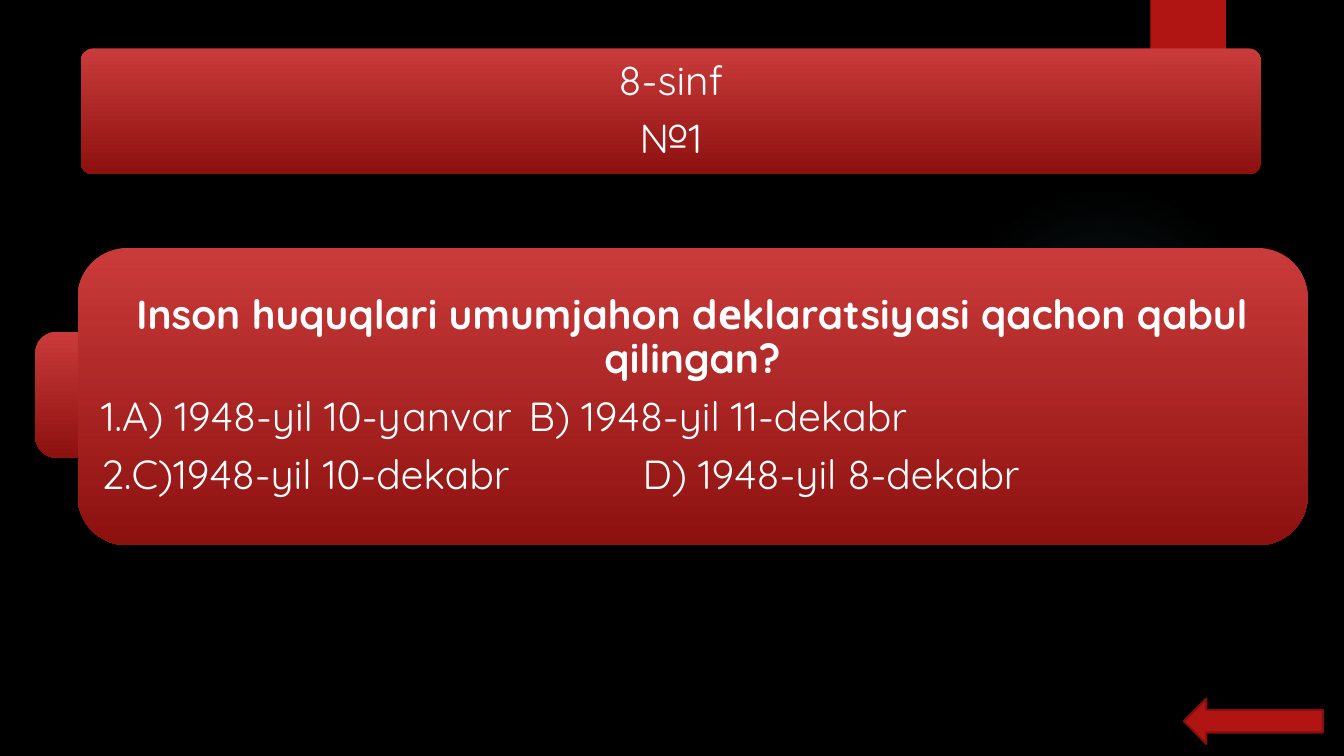
"""Build the quiz slide with its class banner, question panel and back arrow."""
from dataclasses import dataclass

from pptx import Presentation
from pptx import util as u
from pptx.dml.color import RGBColor
from pptx.enum import shapes, text
from pptx.oxml import parse_xml
from pptx.oxml.ns import nsdecls

EMU_PER_PX = 9144


@dataclass(frozen=True)
class Theme:
    background: str = "000000"
    glow: str = "50B9C1"
    accent: str = "B01513"
    accent_line: str = "82100E"
    gradient: tuple[str, str] = ("C93B3A", "8D110F")
    ink: str = "FFFFFF"
    font: str = "Quicksand"
    size: int = 29
    paragraph_gap: int = 10


@dataclass(frozen=True)
class Box:
    left: int
    top: int
    width: int
    height: int

    def emu(self) -> tuple[int, ...]:
        return tuple(px(n) for n in (self.left, self.top, self.width, self.height))


@dataclass(frozen=True)
class Line:
    words: str
    bold: bool = False
    tab: int = 0


@dataclass(frozen=True)
class Card:
    box: Box
    corner: float


THEME = Theme()
KIND = shapes.MSO_SHAPE
BANNER = Card(Box(80, 48, 1171, 125), 0.1)
MARKER = Card(Box(35, 329, 125, 125), 0.167)
PANEL = Card(Box(77, 246, 1220, 295), 0.167)
HEADING = [Line("8-sinf"), Line("№1")]
QUESTION = [
    Line("Inson huquqlari umumjahon dеklaratsiyasi qachon qabul qilingan?", bold=True),
    Line("A) 1948-yil 10-yanvar\tB) 1948-yil 11-dekabr", tab=424),
    Line("C)1948-yil 10-dekabr\tD) 1948-yil 8-dekabr", tab=537),
]


def px(length: int) -> int:
    """Turn px into EMU."""
    return u.Emu(length * EMU_PER_PX)


def rgb(value: str) -> RGBColor:
    """Turn a hex string into a colour."""
    return RGBColor.from_string(value)


def add_plain(page, kind: shapes.MSO_SHAPE, box: Box, color: str):
    """Add a solid shape without outline or shadow."""
    shape = page.shapes.add_shape(kind, *box.emu())
    shape.shadow.inherit = False
    shape.fill.solid()
    shape.fill.fore_color.rgb = rgb(color)
    shape.line.fill.background()
    return shape


def add_card(page, card: Card):
    """Add a rounded card shaded from top to bottom."""
    shape = add_plain(page, KIND.ROUNDED_RECTANGLE, card.box, THEME.accent)
    shape.adjustments[0] = card.corner
    shape.fill.gradient()
    shape.fill.gradient_angle = 270
    for stop, color in zip(shape.fill.gradient_stops, THEME.gradient):
        stop.color.rgb = rgb(color)
    return shape


def add_glow(page, box: Box) -> None:
    """Add a faint circle that fades towards its rim."""
    glow = add_plain(page, KIND.OVAL, box, THEME.glow)
    stops = "".join(
        f'<a:gs pos="{place}000"><a:srgbClr val="{THEME.glow}">'
        f'<a:alpha val="{alpha}000"/></a:srgbClr></a:gs>'
        for place, alpha in ((0, 7), (36, 6), (69, 0))
    )
    fade = parse_xml(
        f'<a:gradFill {nsdecls("a")}><a:gsLst>{stops}</a:gsLst><a:path path="circle">'
        '<a:fillToRect l="50000" t="50000" r="50000" b="50000"/></a:path></a:gradFill>'
    )
    properties = glow._element.spPr
    properties.replace(properties.find("{*}solidFill"), fade)


def number_answer(para, tab: int) -> None:
    """Number a paragraph and set its tab stop."""
    properties = para._p.get_or_add_pPr()
    properties.set("marL", "0")
    properties.set("indent", "0")
    for xml in (
        f'<a:buAutoNum {nsdecls("a")} type="arabicPeriod"/>',
        f'<a:tabLst {nsdecls("a")}><a:tab pos="{px(tab)}" algn="l"/></a:tabLst>',
    ):
        properties.append(parse_xml(xml))


def write(shape, lines: list[Line], margin: tuple[int, int]) -> None:
    """Fill a shape with centred headings and numbered answers."""
    frame = shape.text_frame
    frame.word_wrap = True
    frame.auto_size = text.MSO_AUTO_SIZE.NONE
    frame.vertical_anchor = text.MSO_ANCHOR.MIDDLE
    frame.margin_left = frame.margin_right = px(margin[0])
    frame.margin_top = frame.margin_bottom = px(margin[1])
    frame.text = "\n".join(line.words for line in lines)
    for para, line in zip(frame.paragraphs, lines):
        para.alignment = text.PP_ALIGN.LEFT if line.tab else text.PP_ALIGN.CENTER
        para.line_spacing = 0.9
        para.space_after = u.Pt(THEME.paragraph_gap)
        if line.tab:
            number_answer(para, line.tab)
        para.font.name = THEME.font
        para.font.size = u.Pt(THEME.size)
        para.font.bold = line.bold
        para.font.color.rgb = rgb(THEME.ink)


def main() -> None:
    """Draw the slide and save it."""
    deck = Presentation()
    deck.slide_width, deck.slide_height = px(1333), px(750)
    page = deck.slides.add_slide(deck.slide_layouts[5])
    page.background.fill.solid()
    page.background.fill.fore_color.rgb = rgb(THEME.background)

    add_glow(page, Box(941, 183, 308, 308))
    add_plain(page, KIND.RECTANGLE, Box(1141, 0, 75, 125), THEME.accent)
    arrow = add_plain(page, KIND.LEFT_ARROW, Box(1174, 693, 138, 45), THEME.accent)
    arrow.line.color.rgb = rgb(THEME.accent_line)
    arrow.line.width = u.Pt(1.5)

    add_card(page, BANNER)
    title = page.shapes.title
    title.left, title.top, title.width, title.height = BANNER.box.emu()
    write(title, HEADING, (6, 4))
    page.shapes._spTree.append(title._element)

    add_card(page, MARKER)
    write(add_card(page, PANEL), QUESTION, (9, 9))
    deck.save("out.pptx")


if __name__ == "__main__":
    main()
